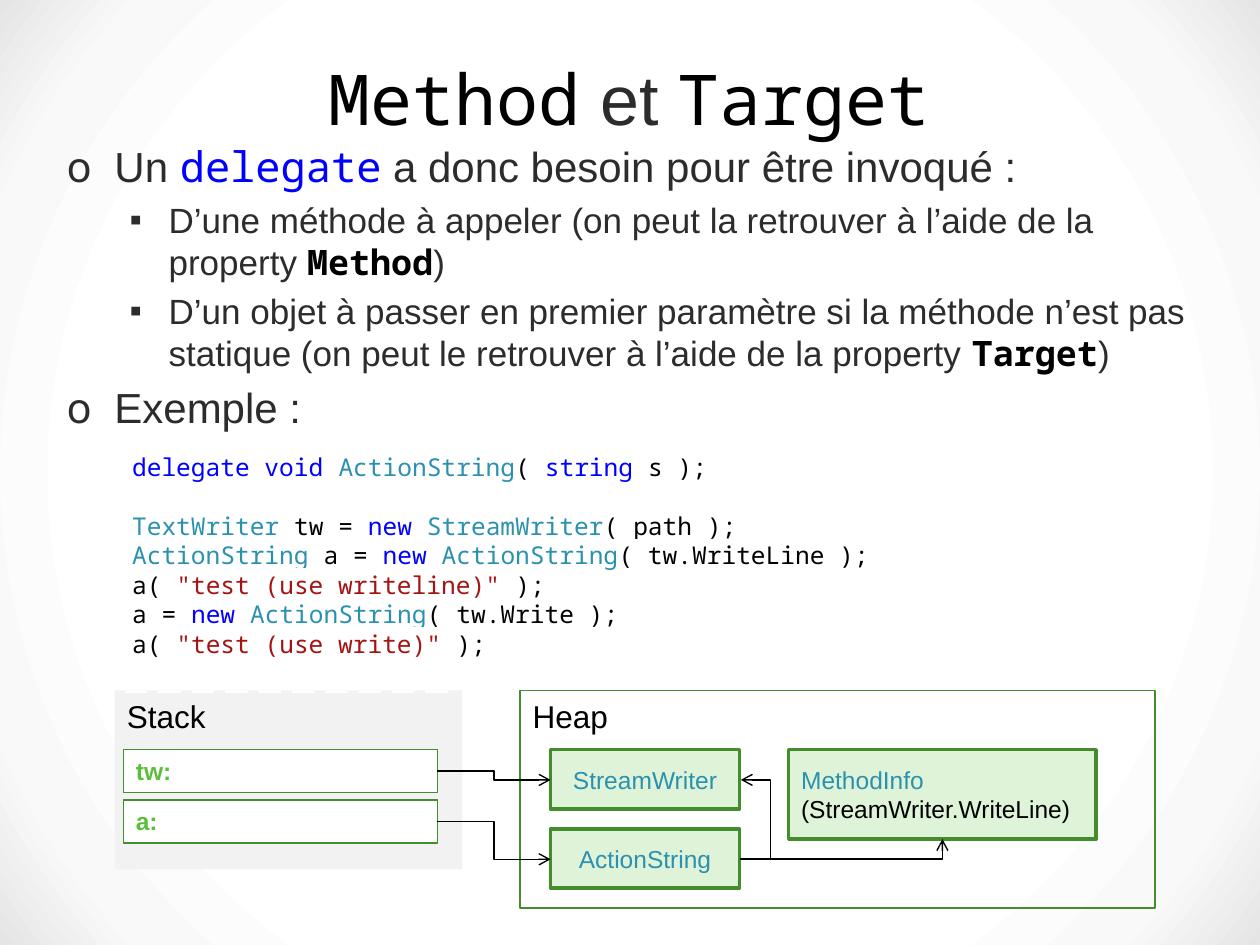
from lxml import etree
from pptx import Presentation
from pptx import util as u
from pptx.dml.color import RGBColor
from pptx.enum import shapes, text
from pptx.oxml import parse_xml
from pptx.oxml.ns import nsdecls, qn

COLUMNS, ROWS = 100, 75
SANS, MONO = "Arial", "Noto Sans Mono"
INK, BLACK, WHITE = "2C2C2C", "000000", "FFFFFF"
KEYWORD, TYPE, STRING = "0000FF", "2B91AF", "A31515"
GREEN, PALE_GREEN, LABEL, GREY = "448D2C", "DEF3D8", "5CBF3C", "F2F2F2"


def color(hex_code):
    """Turn a hex string into a colour."""
    return RGBColor.from_string(hex_code)


def child(parent, tag, **attributes):
    """Append a drawing element to a parent."""
    return etree.SubElement(parent, qn(tag), attributes)


class Board:
    """Current slide and its style, measured in grid columns and rows."""

    def __init__(self, deck):
        """Add a blank slide and set the grid."""
        self.slide = deck.slides.add_slide(deck.slide_layouts[6])
        self.column = deck.slide_width / COLUMNS
        self.row = deck.slide_height / ROWS

    def place(self, x, y, w, h):
        """Convert grid lengths to slide lengths."""
        return (round(x * self.column), round(y * self.row),
                round(w * self.column), round(h * self.row))

    def backdrop(self, stops):
        """Fill the background with a circular gradient."""
        self.slide.background.fill.solid()
        solid = next(self.slide._element.iter(qn("a:solidFill")))
        gradient = parse_xml(f'<a:gradFill {nsdecls("a")} rotWithShape="1"/>')
        stop_list = child(gradient, "a:gsLst")
        for position, tone, opacity in stops:
            stop = child(stop_list, "a:gs", pos=str(position * 1000))
            tint = child(stop, "a:srgbClr", val=tone)
            if opacity < 100:
                child(tint, "a:alpha", val=str(opacity * 1000))
        circle = child(gradient, "a:path", path="circle")
        child(circle, "a:fillToRect", l="50000", t="50000", r="50000", b="50000")
        solid.getparent().replace(solid, gradient)

    def fill_text(self, frame, lines, size, font=SANS, align="LEFT", anchor="TOP",
                  highlight=False):
        """Set lines of (text, colour, font, bold) runs and return the paragraphs."""
        frame.word_wrap = True
        frame.vertical_anchor = getattr(text.MSO_ANCHOR, anchor)
        paragraphs = []
        for index, line in enumerate(lines):
            paragraph = frame.add_paragraph() if index else frame.paragraphs[0]
            paragraph.alignment = getattr(text.PP_ALIGN, align)
            for words, tone, *extra in line:
                run = paragraph.add_run()
                run.text = words
                run.font.size = u.Pt(size)
                run.font.color.rgb = color(tone)
                run.font.name = extra[0] if extra else font
                run.font.bold = len(extra) > 1 and extra[1]
                if highlight:
                    mark = parse_xml(f'<a:highlight {nsdecls("a")}>'
                                     f'<a:srgbClr val="{WHITE}"/></a:highlight>')
                    run.font._element.find(qn("a:solidFill")).addnext(mark)
            paragraphs.append(paragraph)
        return paragraphs

    def words(self, area, lines, size, **style):
        """Add a text box."""
        frame = self.slide.shapes.add_textbox(*self.place(*area)).text_frame
        return self.fill_text(frame, lines, size, **style)

    def box(self, area, fill=None, line=None, width=1, lines=(), size=14, **style):
        """Add a rectangle with optional text."""
        shape = self.slide.shapes.add_shape(shapes.MSO_SHAPE.RECTANGLE, *self.place(*area))
        shape.shadow.inherit = False
        if fill:
            shape.fill.solid()
            shape.fill.fore_color.rgb = color(fill)
        else:
            shape.fill.background()
        if line:
            shape.line.color.rgb = color(line)
            shape.line.width = u.Pt(width)
        else:
            shape.line.fill.background()
        if lines:
            self.fill_text(shape.text_frame, lines, size, **style)

    def bullet(self, paragraph, level, mark, font, indent, hang, gap):
        """Give a paragraph a hanging bullet."""
        paragraph.level = level
        paragraph.space_before = u.Pt(gap)
        props = paragraph._p.get_or_add_pPr()
        props.set("marL", str(u.Inches(indent)))
        props.set("indent", str(-u.Inches(hang)))
        child(props, "a:buFont", typeface=font)
        child(props, "a:buChar", char=mark)

    def arrow(self, start, end, kind="bentConnector3", bend=0.5):
        """Add a bent connector with an open arrowhead at its end."""
        ends = self.place(*start, *end)
        arrow = self.slide.shapes.add_connector(shapes.MSO_CONNECTOR.ELBOW, *ends)
        arrow.line.color.rgb = color(BLACK)
        arrow.line.width = u.Pt(0.79)
        child(arrow.line._get_or_add_ln(), "a:tailEnd", type="arrow")
        props = arrow._element.spPr
        child(props, "a:effectLst")
        geometry = props.find(qn("a:prstGeom"))
        geometry.set("prst", kind)
        if kind == "bentConnector3":
            guides = geometry.find(qn("a:avLst"))
            if guides is None:
                guides = child(geometry, "a:avLst")
            child(guides, "a:gd", name="adj1", fmla=f"val {round(bend * 100000)}")


deck = Presentation()
deck.slide_width, deck.slide_height = u.Inches(10), u.Inches(7.5)
board = Board(deck)
board.backdrop([(68, WHITE, 100), (86, "F9F9F9", 73), (100, "E5E5E5", 100)])

title = board.words((4.3, 2.1, 91.3, 9.9), [
    [("Method", BLACK, MONO), (" et ", INK), ("Target", BLACK, MONO)],
], 40, align="CENTER", anchor="MIDDLE")
title[0].line_spacing = u.Pt(58)

points = board.words((4.3, 10.7, 92.1, 54.3), [
    [("Un ", INK), ("delegate", KEYWORD, MONO), (" a donc besoin pour être invoqué :", INK)],
    [("D’une méthode à appeler (on peut la retrouver à l’aide de la property ", INK),
     ("Method", BLACK, MONO, True), (")", INK)],
    [("D’un objet à passer en premier paramètre si la méthode n’est pas statique "
      "(on peut le retrouver à l’aide de la property ", INK),
     ("Target", BLACK, MONO, True), (")", INK)],
    [("Exemple :", INK)],
], 20)
for point, level in zip(points, (0, 1, 1, 0)):
    if level:
        board.bullet(point, 1, "▪", SANS, 0.81, 0.31, 4)
    else:
        board.bullet(point, 0, "o", MONO, 0.38, 0.38, 4.8)
        for run in point.runs:
            run.font.size = u.Pt(24)

# Memory areas
board.box((9.1, 54.8, 27.6, 14.2), GREY, lines=[[("Stack", BLACK)]], size=18)
for dash in range(10):
    board.box((9.9 + 2.65 * dash, 54.8, 1.8, 0.2), WHITE)
board.box((41.3, 54.8, 50.4, 17.3), line=GREEN, lines=[[("Heap", BLACK)]], size=18)
for variable, top in (("tw:", 59.5), ("a:", 63.5)):
    board.box((9.8, top, 24.9, 3.4), WHITE, GREEN, 0.75,
              [[(variable, LABEL, SANS, True)]], highlight=True)

code = board.words((9.5, 35.4, 80.9, 19.9), [
    [("delegate void ", KEYWORD), ("ActionString", TYPE), ("( ", BLACK),
     ("string", KEYWORD), (" s );", BLACK)],
    [("TextWriter", TYPE), (" tw = ", BLACK), ("new", KEYWORD), (" ", BLACK),
     ("StreamWriter", TYPE), ("( path );", BLACK)],
    [("ActionString", TYPE), (" a = ", BLACK), ("new", KEYWORD), (" ", BLACK),
     ("ActionString", TYPE), ("( tw.WriteLine );", BLACK)],
    [("a( ", BLACK), ('"test (use writeline)"', STRING), (" );", BLACK)],
    [("a = ", BLACK), ("new", KEYWORD), (" ", BLACK),
     ("ActionString", TYPE), ("( tw.Write );", BLACK)],
    [("a( ", BLACK), ('"test (use write)"', STRING), (" );", BLACK)],
], 14, font=MONO, highlight=True)
code[1].space_before = u.Pt(16.75)

# Heap objects
for area, lines, align in (
    ((43.7, 59.5, 15, 4.7), [[("StreamWriter", TYPE)]], "CENTER"),
    ((43.7, 65.8, 15, 4.7), [[("ActionString", TYPE)]], "CENTER"),
    ((62.6, 59.5, 24.4, 7.1),
     [[("MethodInfo", TYPE)], [("(StreamWriter.WriteLine)", BLACK)]], "LEFT"),
):
    board.box(area, PALE_GREEN, GREEN, 2, lines, align=align, anchor="MIDDLE")

board.arrow((34.7, 61.2), (43.7, 61.9))
board.arrow((34.7, 65.2), (43.7, 68.2))
board.arrow((58.7, 68.2), (74.8, 66.6), "bentConnector2")
board.arrow((58.7, 68.2), (58.8, 61.9), bend=25)

deck.save("out.pptx")
